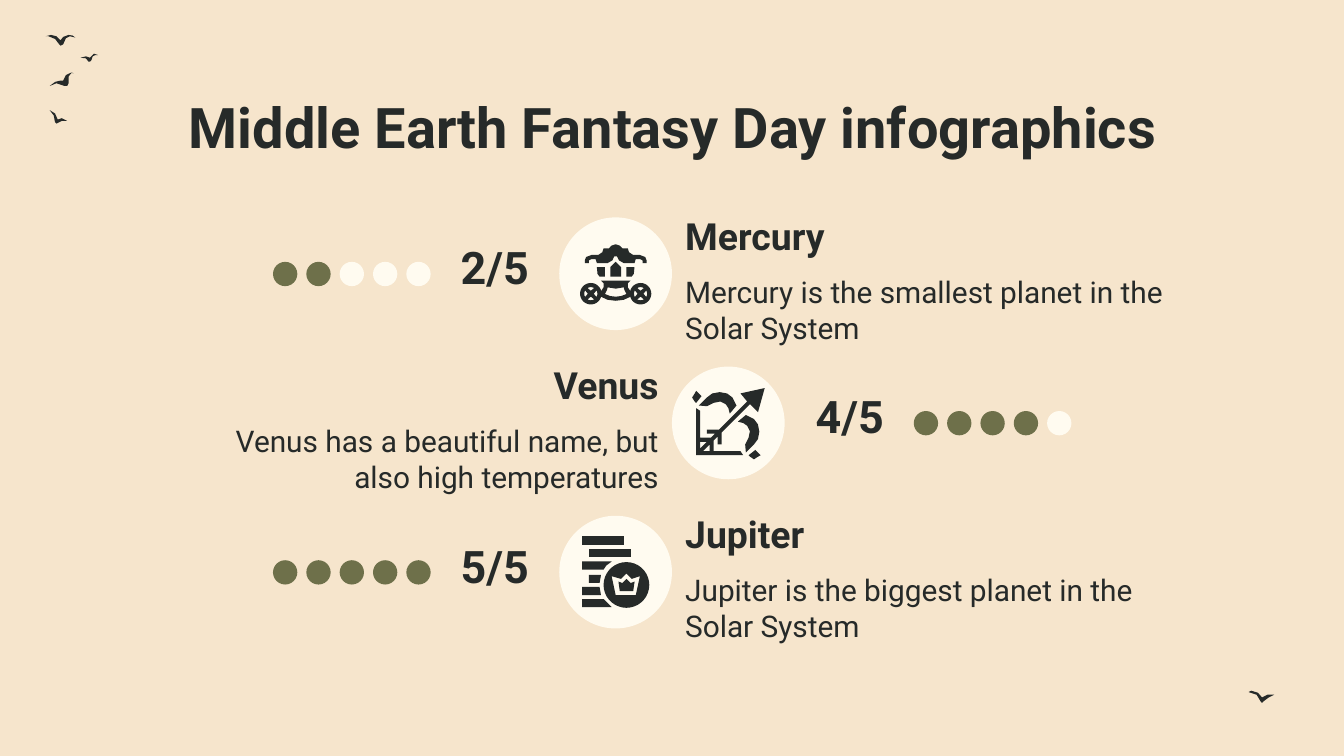
import math

import pptx
import pptx.dml.color
import pptx.enum.shapes
import pptx.enum.text
import pptx.util

Cm = pptx.util.Cm
ALIGN = pptx.enum.text.PP_ALIGN
ANCHOR = pptx.enum.text.MSO_ANCHOR
COLORS = {"paper": "F6E5CC", "ink": "262A29", "cream": "FFFBF0", "moss": "6E704A"}
RGB = {name: pptx.dml.color.RGBColor.from_string(value) for name, value in COLORS.items()}
UNIT = 2.54 / 100  # drawing grid: hundredths of an inch, in cm

deck = pptx.Presentation()
deck.slide_width, deck.slide_height = Cm(25.4), Cm(14.29)
slide = deck.slides.add_slide(deck.slide_layouts[5])
slide.background.fill.solid()
slide.background.fill.fore_color.rgb = RGB["paper"]


def paint(shape, color):
    shape.shadow.inherit = False
    shape.fill.solid()
    shape.fill.fore_color.rgb = RGB[color]
    shape.line.fill.background()


def write(box, words, size, bold, align, anchor):
    frame = box.text_frame
    frame.text = words
    frame_format = {"word_wrap": True, "auto_size": pptx.enum.text.MSO_AUTO_SIZE.NONE,
                    "vertical_anchor": anchor}
    frame_format.update({f"margin_{side}": Cm(0.25) for side in ("left", "right", "top", "bottom")})
    for key, value in frame_format.items():
        setattr(frame, key, value)
    paragraph = frame.paragraphs[0]
    paragraph.alignment = align
    for key, value in {"name": "Roboto", "size": pptx.util.Pt(size), "bold": bold}.items():
        setattr(paragraph.font, key, value)
    paragraph.font.color.rgb = RGB["ink"]


# Title
title = slide.shapes.title
title.left, title.top, title.width, title.height = Cm(2.01), Cm(1.5), Cm(21.41), Cm(1.6)
write(title, "Middle Earth Fantasy Day infographics", 30, True, ALIGN.CENTER, ANCHOR.TOP)

# Birds, measured from the slide corner
birds = [
    [(34, 27), (38, 26), (42, 27), (45, 30), (47, 27.5), (51, 26), (54, 26.5), (56, 28),
     (52, 27), (49, 28.5), (47, 33), (45, 34), (44, 33), (41, 29), (36, 27)],
    [(55, 54.5), (53, 54), (49, 56), (47, 60), (45, 60), (41, 61), (37, 64), (42, 62),
     (48, 64), (50, 64), (51, 62), (51, 57), (53, 54.5)],
    [(37, 82), (40, 86), (41, 91), (42, 92), (46, 90), (50, 90), (46, 88), (43, 89), (41, 84.5)],
    [(73, 41), (70, 40), (67, 43), (64, 42), (60, 43), (64, 43.5), (66, 46), (67, 46),
     (68, 45), (69, 42), (71, 41)],
    [(929, 515), (931, 514), (936, 515.5), (939, 519), (943, 517), (948, 517), (944, 519),
     (940, 522), (939, 523), (938, 522), (935, 517)],
]

# Carriage: each piece is an outline followed by its holes; halves mirror at x = 42
roof = [(42, 20), (39, 21), (37, 23), (33, 23), (32, 26), (29, 28), (24, 28), (20, 29.5),
        (19, 32), (19, 34), (22, 34), (22, 32), (24, 31), (27, 31), (28, 34), (36, 34),
        (39.5, 32), (41, 29)]
axle = [(31, 47), (33, 49), (33, 52), (31, 55), (31, 59), (36, 61.3), (42, 62)]
axle_hole = [(42, 53), (36, 52), (35.5, 54), (34, 57), (38, 58.5), (42, 59)]
window = [(28, 37), (28.5, 42), (30, 44), (34, 44), (34, 37)]
door = [(42, 33), (38, 37), (38, 44)]
roof, axle, axle_hole, door = [
    half + [(84 - x, y) for x, y in reversed(half)] for half in (roof, axle, axle_hole, door)]
carriage = [[roof], [axle, axle_hole], [door], [window], [[(84 - x, y) for x, y in window]]]
circle = [(math.cos(math.radians(a)), math.sin(math.radians(a))) for a in range(0, 360, 10)]
for hub in (23.5, 60.5):
    wheel = [[(hub + 8 * x, 56.8 + 8 * y) for x, y in circle]]
    for turn in range(0, 360, 90):
        gap = [(2.2, turn)] + [(4.9, turn + swing) for swing in (-30, -15, 0, 15, 30)]
        wheel.append([(hub + r * math.cos(math.radians(a)), 56.8 + r * math.sin(math.radians(a)))
                      for r, a in gap])
    carriage.append(wheel)

# Bow and arrow: the upper limb mirrors the lower one across the arrow
limb = [(55, 36), (49, 41), (53, 42), (56, 44), (58, 48), (57, 53), (54.5, 58), (55, 64),
        (61, 58), (64, 54), (65, 48.5), (64, 43), (61, 39)]
tip = [(62, 62), (57, 66), (58, 67), (61, 69), (64, 67), (66, 66)]
arrow = [(69, 16), (51, 20), (56, 26), (35, 47), (26, 47), (26, 50), (32, 50), (29, 53),
         (21, 53), (21, 33), (18, 31), (18, 66), (53, 66), (51, 63), (31, 63), (31, 55),
         (34, 52), (34, 58), (37, 58), (37, 49), (58, 28), (64, 34)]
fletching = [[(26, 56), (21, 61), (21, 56)], [(28, 58), (28, 63), (23, 63)]]
bow = [[arrow] + fletching, [limb], [tip]]
bow += [[[(84 - y, 84 - x) for x, y in part]] for part in (limb, tip)]

# Coins
stack = [
    [(17, 15), (17, 22), (48, 22), (48, 15)],
    [(22, 25), (22, 31), (53, 31), (53, 25)],
    [(17, 34), (17, 40), (33, 40), (35, 37), (39, 34)],
    [(22, 44), (22, 50), (30, 50), (31, 44)],
    [(17, 53), (17, 59), (31, 59), (30, 53)],
    [(17, 62), (17, 68), (39, 68), (33, 62)],
]
coin = [(50 + 17 * x, 51.5 + 17 * y) for x, y in circle]
crown = [(50, 43), (54, 47), (60, 45), (57, 59), (42, 59), (39, 45), (46, 47)]
crown_center = [(50, 47), (47, 50), (44, 49), (45, 56), (55, 56), (56, 49), (53, 50)]
coins = [[layer] for layer in stack] + [[coin, crown], [crown_center]]

# Planet rows, alternating sides
drawings = [(0, 0, [[bird] for bird in birds])]
planets = [
    ("Mercury", "Mercury is the smallest planet in the Solar System", 2, carriage),
    ("Venus", "Venus has a beautiful name, but also high temperatures", 4, bow),
    ("Jupiter", "Jupiter is the biggest planet in the Solar System", 5, coins),
]
OVAL = pptx.enum.shapes.MSO_SHAPE.OVAL
for row, (planet, fact, score, icon) in enumerate(planets):
    top = 4.11 + 2.82 * row
    if row % 2 == 0:
        disc_left, text_left, score_left, dots_left, align = 10.57, 12.7, 8.12, 5.16, ALIGN.LEFT
    else:
        disc_left, text_left, score_left, dots_left, align = 12.7, 3.02, 14.83, 17.27, ALIGN.RIGHT

    disc = slide.shapes.add_shape(OVAL, Cm(disc_left), Cm(top), Cm(2.13), Cm(2.13))
    paint(disc, "cream")
    drawings.append((disc_left, top, icon))

    for words, left, drop, width, height, size, bold, side, anchor in (
        (planet, text_left, -0.25, 9.68, 1.26, 20, True, align, ANCHOR.BOTTOM),
        (fact, text_left, 0.81, 9.68, 1.6, 16, False, align, ANCHOR.TOP),
        (f"{score}/5", score_left, 0.43, 2.46, 1.26, 24, True, ALIGN.CENTER, ANCHOR.BOTTOM),
    ):
        label = slide.shapes.add_textbox(Cm(left), Cm(top + drop), Cm(width), Cm(height))
        write(label, words, size, bold, side, anchor)

    for step in range(5):
        dot = slide.shapes.add_shape(
            OVAL, Cm(dots_left + 0.63 * step), Cm(top + 0.84), Cm(0.46), Cm(0.46))
        paint(dot, "moss" if step < score else "cream")

# Birds and icons
for left, top, pieces in drawings:
    for piece in pieces:
        contours = [[(Cm(left + x * UNIT), Cm(top + y * UNIT)) for x, y in contour]
                    for contour in piece]
        outline = slide.shapes.build_freeform(*contours[0][0])
        outline.add_line_segments(contours[0][1:], close=True)
        for hole in contours[1:]:
            outline.move_to(*hole[0])
            outline.add_line_segments(hole[1:], close=True)
        paint(outline.convert_to_shape(), "ink")

deck.save("out.pptx")
